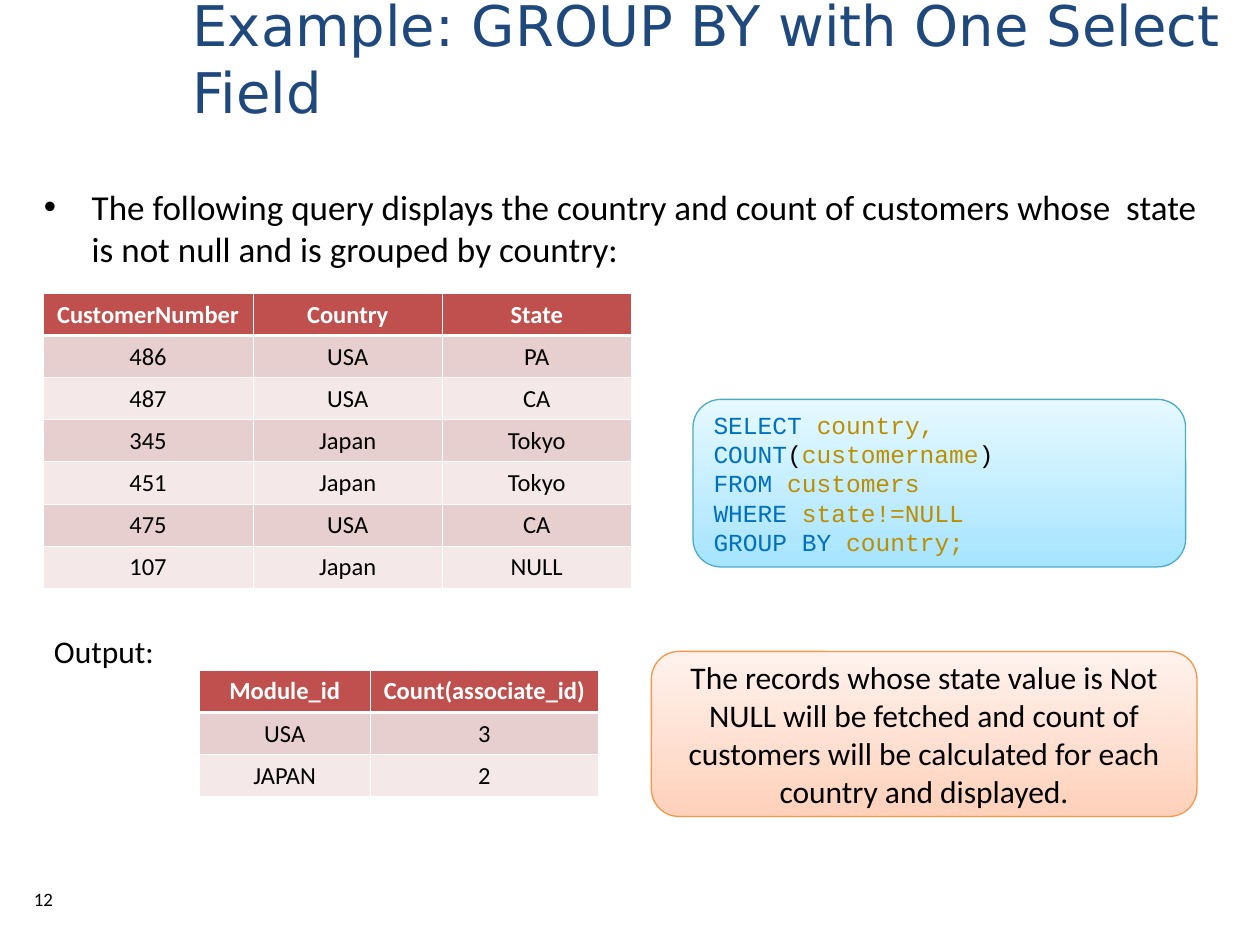
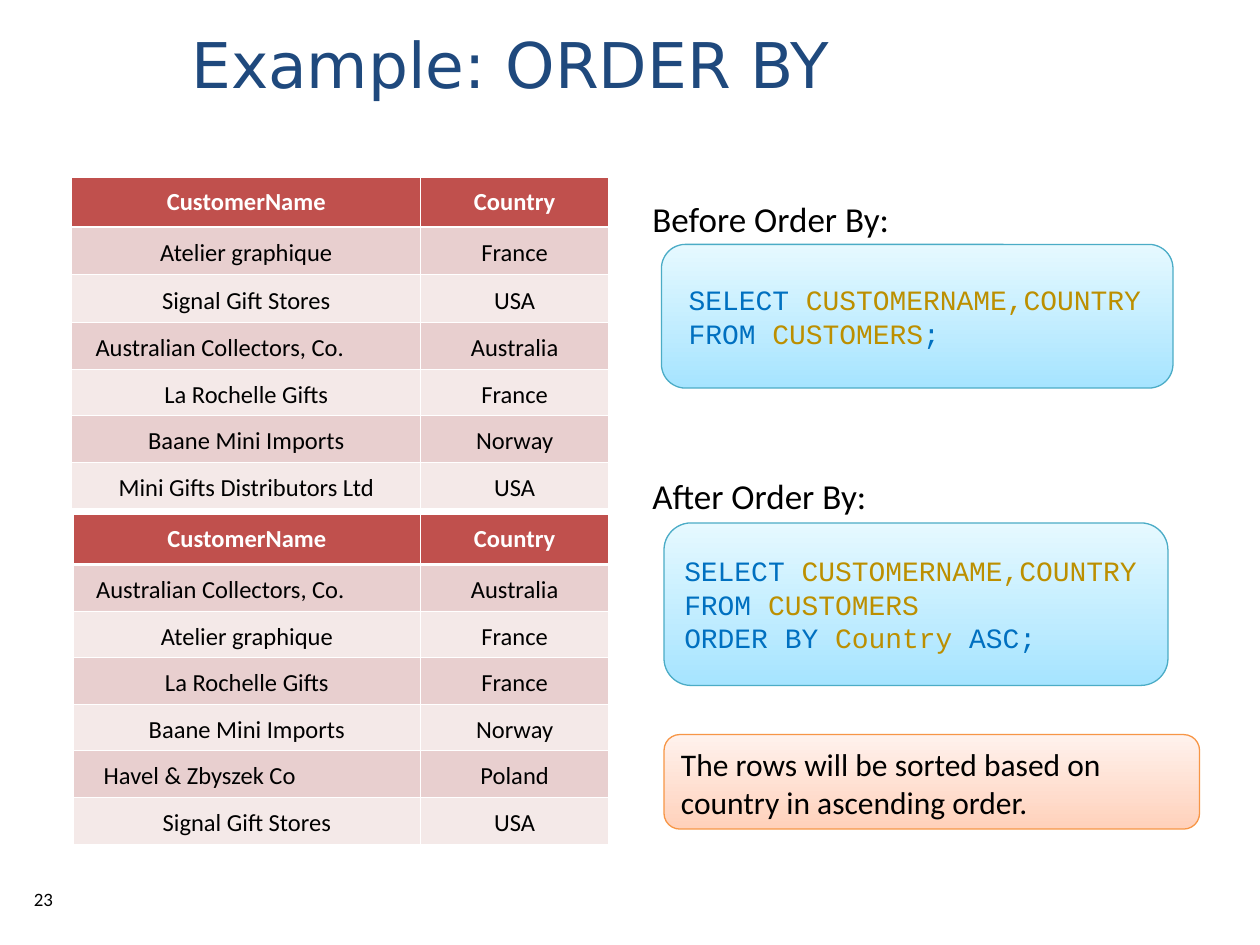
from lxml.etree import SubElement
from pptx import Presentation
from pptx.dml.color import RGBColor
from pptx.enum.shapes import MSO_SHAPE as Shape
from pptx.enum.text import MSO_ANCHOR as Anchor, PP_ALIGN as Align
from pptx.oxml.ns import qn
from pptx.util import Inches, Pt

# Colours
INK = RGBColor(0x00, 0x00, 0x00)
WHITE = RGBColor(0xFF, 0xFF, 0xFF)
TITLE = RGBColor(0x1F, 0x49, 0x7D)
KEYWORD = RGBColor(0x00, 0x70, 0xC0)
NAME = RGBColor(0xBC, 0x8F, 0x00)
HEADER_FILL = RGBColor(0xC0, 0x50, 0x4D)
BAND_FILLS = (RGBColor(0xE8, 0xCF, 0xCF), RGBColor(0xF4, 0xE9, 0xE8))

# Panel styles: bottom colour, top colour, outline
CODE_PANEL = (RGBColor(0xA6, 0xE4, 0xFF), RGBColor(0xE6, 0xF9, 0xFF),
              RGBColor(0x4B, 0xAC, 0xC6))
NOTE_PANEL = (RGBColor(0xFF, 0xD1, 0xBB), RGBColor(0xFF, 0xF2, 0xED),
              RGBColor(0xF7, 0x96, 0x46))

BODY_FONT = "Calibri"
CODE_FONT = "Courier New"
TITLE_FONT = "DejaVu Sans"
THIN, THICK = 0.45, 1.47


class Deck:
    """Holds the presentation, its style and the current slide."""

    def __init__(self):
        self.presentation = Presentation()
        self.presentation.slide_width = Inches(10)
        self.presentation.slide_height = Inches(7.5)
        self.slide = None

    def new_slide(self, title, title_box, title_size, number):
        layout = self.presentation.slide_layouts[6]
        self.slide = self.presentation.slides.add_slide(layout)
        self.text(title, title_box, title_size, TITLE_FONT, TITLE, Anchor.MIDDLE)
        paragraph = self.text(number, (0.17, 7.03, 0.5, 0.3), 10.8)
        paragraph.line_spacing = 0.8

    @staticmethod
    def style(paragraph, size, font=BODY_FONT, color=None, bold=False):
        paragraph.font.size = Pt(size)
        paragraph.font.name = font
        paragraph.font.bold = bold
        if color is not None:
            paragraph.font.color.rgb = color

    def text(self, words, box, size, font=BODY_FONT, color=INK, anchor=Anchor.TOP):
        frame = self.slide.shapes.add_textbox(*map(Inches, box)).text_frame
        frame.word_wrap = True
        frame.vertical_anchor = anchor
        paragraph = frame.paragraphs[0]
        paragraph.text = words
        self.style(paragraph, size, font, color)
        return paragraph

    def bullet(self, words, box, size):
        paragraph = self.text(words, box, size)
        paragraph.space_before = Pt(5)
        properties = paragraph._p.get_or_add_pPr()
        properties.set("marL", str(Inches(0.38)))
        properties.set("indent", str(-Inches(0.38)))
        SubElement(properties, qn("a:buFont")).set("typeface", "Arial")
        SubElement(properties, qn("a:buChar")).set("char", "•")

    def panel(self, box, colors, anchor=Anchor.MIDDLE):
        bottom, top, outline = colors
        shape = self.slide.shapes.add_shape(Shape.ROUNDED_RECTANGLE,
                                            *map(Inches, box))
        shape.shadow.inherit = False
        shape.fill.gradient()
        shape.fill.gradient_angle = 90
        for stop, color in zip(shape.fill.gradient_stops, (bottom, top)):
            stop.color.rgb = color
        shape.line.color.rgb = outline
        shape.line.width = Pt(0.75)
        frame = shape.text_frame
        frame.word_wrap = True
        frame.vertical_anchor = anchor
        return frame

    def note(self, words, box, align, anchor=Anchor.MIDDLE):
        paragraph = self.panel(box, NOTE_PANEL, anchor).paragraphs[0]
        paragraph.text = words
        paragraph.alignment = align
        self.style(paragraph, 18, color=INK)

    def code(self, lines, box, size, margin_left=0.1):
        frame = self.panel(box, CODE_PANEL)
        frame.margin_left = Inches(margin_left)
        for index, line in enumerate(lines):
            paragraph = frame.add_paragraph() if index else frame.paragraphs[0]
            paragraph.alignment = Align.LEFT
            self.style(paragraph, size, CODE_FONT)
            for words, color in line:
                run = paragraph.add_run()
                run.text = words
                run.font.color.rgb = color

    @staticmethod
    def borders(cell, row):
        widths = {"L": THIN, "R": THIN,
                  "T": THICK if row == 1 else THIN,
                  "B": THICK if row == 0 else THIN}
        properties = cell._tc.get_or_add_tcPr()
        for side, width in widths.items():
            line = SubElement(properties, qn(f"a:ln{side}"), w=str(Pt(width)))
            fill = SubElement(line, qn("a:solidFill"))
            SubElement(fill, qn("a:srgbClr"), val=str(WHITE))

    def table(self, rows, left, top, widths, heights, spacing=1.0, right_gaps=None):
        """right_gaps maps a cell's words to extra space on its right."""
        frame = self.slide.shapes.add_table(
            len(rows), len(widths), Inches(left), Inches(top),
            Inches(sum(widths)), Inches(sum(heights)))
        table = frame.table
        table.horz_banding = False
        for column, width in zip(table.columns, widths):
            column.width = Inches(width)
        for row, (values, height) in enumerate(zip(rows, heights)):
            table.rows[row].height = Inches(height)
            header = row == 0
            for column, words in enumerate(values):
                cell = table.cell(row, column)
                self.borders(cell, row)
                cell.fill.solid()
                cell.fill.fore_color.rgb = (
                    HEADER_FILL if header else BAND_FILLS[(row - 1) % 2])
                cell.vertical_anchor = Anchor.MIDDLE
                cell.margin_left = Inches(0.08)
                cell.margin_right = Inches(0.08 + (right_gaps or {}).get(words, 0))
                paragraph = cell.text_frame.paragraphs[0]
                paragraph.text = words
                paragraph.alignment = Align.CENTER
                paragraph.line_spacing = 1.0 if header else spacing
                self.style(paragraph, 14, color=WHITE if header else INK,
                           bold=header)


def group_by_slide(deck):
    deck.new_slide("Example: GROUP BY with One Select Field",
                   (1.43, 0, 8.57, 0.92), 32, "12")
    deck.bullet("The following query displays the country and count of customers "
                "whose  state is not null and is grouped by country:",
                (0.25, 1.42, 9.5, 5.23), 20)

    # Source data and query
    customers = [
        ("CustomerNumber", "Country", "State"),
        ("486", "USA", "PA"),
        ("487", "USA", "CA"),
        ("345", "Japan", "Tokyo"),
        ("451", "Japan", "Tokyo"),
        ("475", "USA", "CA"),
        ("107", "Japan", "NULL"),
    ]
    deck.table(customers, 0.34, 2.33, (1.67, 1.5, 1.5), [0.33] * 7)
    deck.code([
        [("SELECT ", KEYWORD), ("country, ", NAME), ("COUNT", KEYWORD),
         ("(", INK), ("customername", NAME), (")", INK)],
        [("FROM", KEYWORD), (" customers", NAME)],
        [("WHERE", KEYWORD), (" state!=NULL", NAME)],
        [("GROUP BY ", KEYWORD), ("country;", NAME)],
    ], (5.5, 3.17, 3.91, 1.33), 14)

    # Result
    deck.text("Output:", (0.33, 4.97, 1.51, 0.4), 18)
    output = [("Module_id", "Count(associate_id)"), ("USA", "3"), ("JAPAN", "2")]
    deck.table(output, 1.58, 5.32, (1.36, 1.81), [0.33] * 3)
    deck.note("The records whose state value is Not NULL will be fetched and count "
              "of customers will be calculated for each country and displayed.",
              (5.17, 5.17, 4.33, 1.31), Align.CENTER)


def order_by_slide(deck):
    deck.new_slide("Example: ORDER BY", (1.42, 0.08, 8.38, 0.84), 36, "23")
    header = ("CustomerName", "Country")
    right_gaps = {"Australian Collectors, Co.": 0.42, "Havel & Zbyszek Co": 0.75}
    select = [("SELECT ", KEYWORD), ("CUSTOMERNAME,COUNTRY ", NAME),
              ("FROM ", KEYWORD), ("CUSTOMERS", NAME)]

    # Before sorting
    unsorted_rows = [
        header,
        ("Atelier graphique", "France"),
        ("Signal Gift Stores", "USA"),
        ("Australian Collectors, Co.", "Australia"),
        ("La Rochelle Gifts", "France"),
        ("Baane Mini Imports", "Norway"),
        ("Mini Gifts Distributors Ltd", "USA"),
    ]
    deck.table(unsorted_rows, 0.57, 1.41, (2.77, 1.49),
               [0.39] + [0.38] * 2 + [0.37] * 4, 1.15, right_gaps)
    deck.text("Before Order By:", (5.08, 1.52, 2.08, 0.77), 20)
    deck.code([select + [(";", KEYWORD)]], (5.25, 1.94, 4.06, 1.14), 16,
              margin_left=0.16)

    # After sorting
    sorted_rows = [
        header,
        ("Australian Collectors, Co.", "Australia"),
        ("Atelier graphique", "France"),
        ("La Rochelle Gifts", "France"),
        ("Baane Mini Imports", "Norway"),
        ("Havel & Zbyszek Co", "Poland"),
        ("Signal Gift Stores", "USA"),
    ]
    deck.table(sorted_rows, 0.58, 4.08, (2.76, 1.49),
               [0.4] + [0.37] * 6, 1.15, right_gaps)
    deck.text("After Order By:", (5.08, 3.72, 2, 0.44), 20)
    deck.code([
        select,
        [("ORDER BY ", KEYWORD), ("Country", NAME), (" ASC;", KEYWORD)],
    ], (5.27, 4.15, 4, 1.29), 16)
    deck.note("The rows will be sorted based on country in ascending order.",
              (5.27, 5.83, 4.25, 0.75), Align.LEFT, Anchor.TOP)


def main():
    deck = Deck()
    group_by_slide(deck)
    order_by_slide(deck)
    deck.presentation.save("out.pptx")


if __name__ == "__main__":
    main()
